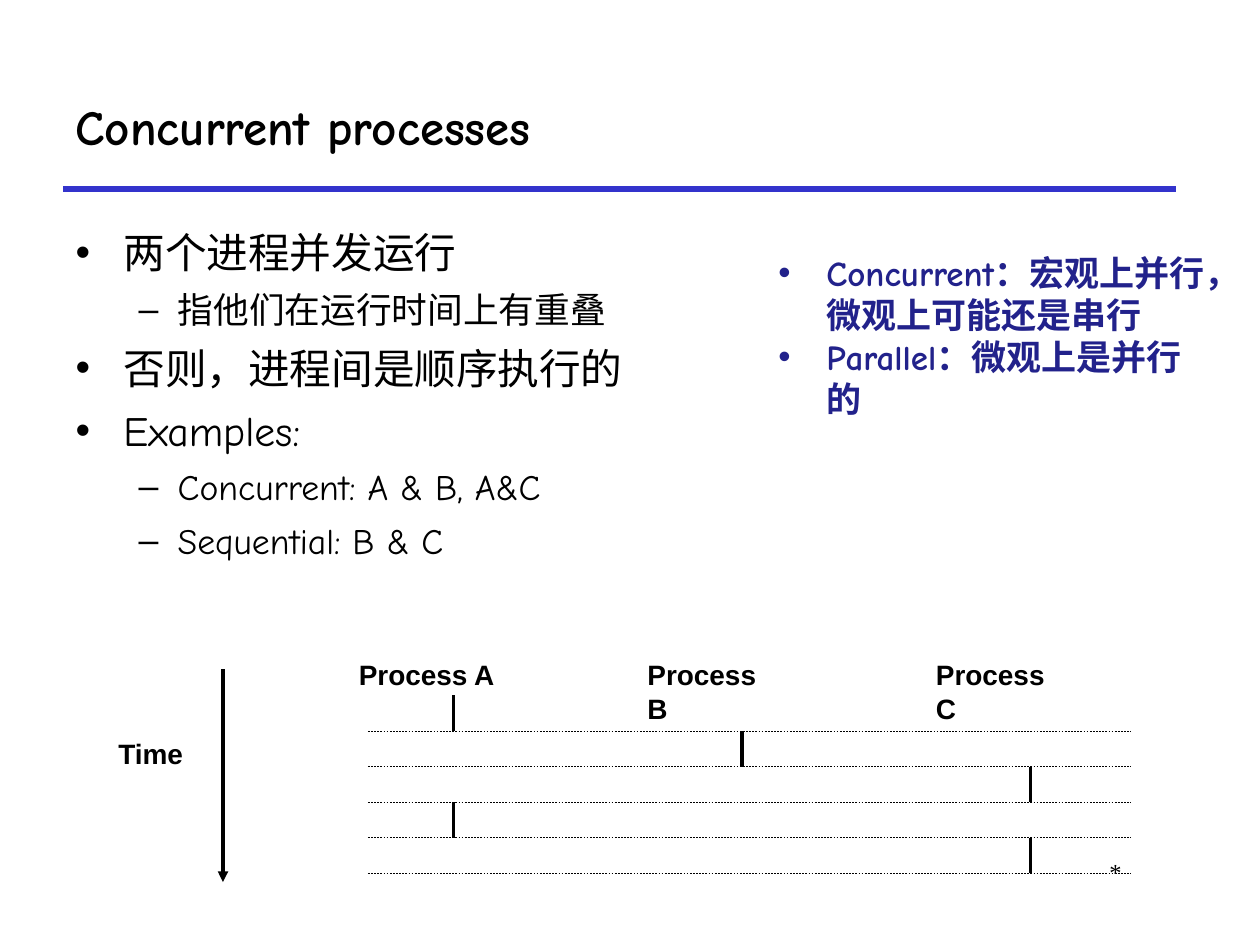
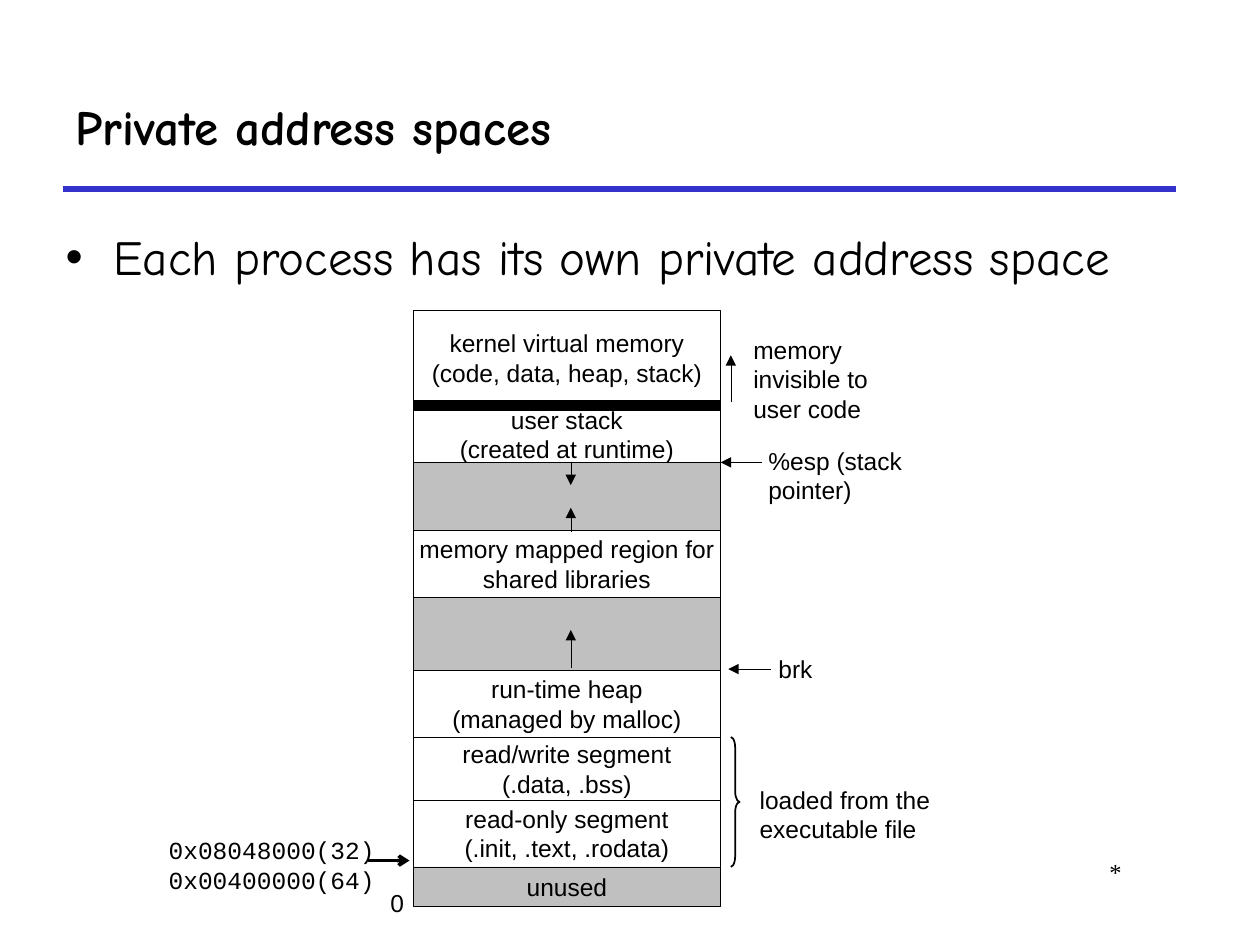
from lxml import etree
from pptx import Presentation
from pptx import util as u
from pptx.dml.color import RGBColor
from pptx.enum import dml, shapes, text
from pptx.oxml import ns

BLACK = RGBColor(0x00, 0x00, 0x00)
WHITE = RGBColor(0xFF, 0xFF, 0xFF)
GREY = RGBColor(0xC0, 0xC0, 0xC0)
RULE_BLUE = RGBColor(0x33, 0x33, 0xCC)
NOTE_BLUE = RGBColor(0x22, 0x22, 0x8B)

HEADING_FONT = "Comic Neue"
LABEL_FONT = "Arial"
CODE_FONT = "Courier New"
BULLETS = {0: ("•", 0.38, -0.38, 7), 1: ("–", 0.81, -0.31, 6)}

STACK_LEFT, STACK_TOP, STACK_WIDTH = 3.28, 2.46, 2.44
STACK = [
    ("kernel virtual memory\n(code, data, heap, stack)", 0.76, WHITE),
    ("user stack\n(created at runtime)", 0.45, WHITE),
    ("", 0.54, GREY),
    ("memory mapped region for\nshared libraries", 0.53, WHITE),
    ("", 0.58, GREY),
    ("run-time heap\n(managed by malloc)", 0.53, WHITE),
    ("read/write segment\n(.data, .bss)", 0.5, WHITE),
    ("read-only segment\n(.init, .text, .rodata)", 0.53, WHITE),
    ("unused", 0.31, GREY),
]


def apply(target, values):
    for name, value in values.items():
        setattr(target, name, value)


def place(s, left, top, width, height):
    box = dict(left=left, top=top, width=width, height=height)
    apply(s, {name: u.Inches(value) for name, value in box.items()})


def add_run(p, content, size, font=LABEL_FONT, color=BLACK, bold=False):
    r = p.add_run()
    r.text = content
    apply(r.font, dict(name=font, size=u.Pt(size), bold=bold))
    r.font.color.rgb = color


def next_paragraph(tf, index):
    return tf.add_paragraph() if index else tf.paragraphs[0]


def write_lines(tf, content, size, align=text.PP_ALIGN.LEFT, **style):
    for i, line in enumerate(content.split("\n")):
        p = next_paragraph(tf, i)
        p.alignment = align
        add_run(p, line, size, **style)


def write_bullets(tf, items, sizes, spaced=True, **style):
    for i, (level, content) in enumerate(items):
        p = next_paragraph(tf, i)
        mark, margin, indent, before = BULLETS[level]
        apply(p, dict(level=level, alignment=text.PP_ALIGN.LEFT,
                      space_before=u.Pt(before if i and spaced else 0)))
        pPr = p._p.get_or_add_pPr()
        pPr.set("marL", str(u.Inches(margin)))
        pPr.set("indent", str(u.Inches(indent)))
        etree.SubElement(pPr, ns.qn("a:buFont"), typeface=LABEL_FONT)
        etree.SubElement(pPr, ns.qn("a:buChar"), char=mark)
        add_run(p, content, sizes[level], font=HEADING_FONT, **style)


def add_label(slide, content, box, size=14, align=text.PP_ALIGN.LEFT, **style):
    s = slide.shapes.add_textbox(*map(u.Inches, box))
    s.text_frame.word_wrap = False
    write_lines(s.text_frame, content, size, align, **style)


def add_line(slide, start, end, width, color=BLACK, dash=None, head=None):
    s = slide.shapes.add_connector(
        shapes.MSO_CONNECTOR.STRAIGHT, *map(u.Inches, start + end))
    s.line.color.rgb = color
    s.line.width = u.Pt(width)
    if dash:
        s.line.dash_style = dash
    if head:
        etree.SubElement(s.line._get_or_add_ln(), ns.qn("a:tailEnd"), type=head)
    etree.SubElement(s._element.spPr, ns.qn("a:effectLst"))


def add_block(slide, content, box, fill):
    s = slide.shapes.add_shape(
        shapes.MSO_SHAPE.RECTANGLE, *map(u.Inches, box))
    s.shadow.inherit = False
    s.fill.solid()
    s.fill.fore_color.rgb = fill
    s.line.color.rgb = BLACK
    s.line.width = u.Pt(0.25)
    if content:
        tf = s.text_frame
        apply(tf, dict(word_wrap=False, vertical_anchor=text.MSO_ANCHOR.MIDDLE))
        write_lines(tf, content, 14, text.PP_ALIGN.CENTER)


def add_brace(slide, box):
    s = slide.shapes.add_shape(
        shapes.MSO_SHAPE.RIGHT_BRACE, *map(u.Inches, box))
    s.shadow.inherit = False
    s.adjustments[0] = 1.2
    s.fill.background()
    s.line.color.rgb = BLACK
    s.line.width = u.Pt(1)


def add_page(prs, title, bullets, box, sizes):
    slide = prs.slides.add_slide(prs.slide_layouts[1])
    add_line(slide, (0.5, 1.5), (9.33, 1.5), 3, RULE_BLUE)
    add_label(slide, "*", (7.58, 6.75, 1.42, 0.5),
              align=text.PP_ALIGN.RIGHT, font="Times New Roman")
    heading, body = slide.placeholders
    place(heading, 0.5, 0.5, 8.83, 1)
    place(body, *box)
    for s in (heading, body):
        apply(s.text_frame, dict(auto_size=text.MSO_AUTO_SIZE.NONE, word_wrap=True))
    heading.text_frame.vertical_anchor = text.MSO_ANCHOR.MIDDLE
    write_lines(heading.text_frame, title, 28, font=HEADING_FONT, bold=True)
    write_bullets(body.text_frame, bullets, sizes)
    return slide


def add_note(slide):
    s = slide.shapes.add_textbox(*map(u.Inches, (6.08, 1.95, 3.67, 1.44)))
    s.text_frame.word_wrap = True
    items = [(0, "Concurrent：宏观上并行，微观上可能还是串行"),
             (0, "Parallel：微观上是并行的")]
    write_bullets(s.text_frame, items, {0: 20}, spaced=False,
                  color=NOTE_BLUE, bold=True)


def add_timeline(slide):
    first, last, slots = 5.52, 6.93, 5
    step = (last - first) / slots
    spacing = 2.29
    add_line(slide, (1.77, 5.31), (1.77, 7), 2, head="triangle")
    add_label(slide, "Time", (0.84, 5.8, 0.71, 0.37), 16, bold=True)
    for column, name in enumerate("ABC"):
        add_label(slide, f"Process {name}",
                  (2.75 + column * spacing, 5.17, 1.28, 0.37), 16, bold=True)
    for slot, column in enumerate((0, 1, 2, 0, 2)):
        x = 3.6 + column * spacing
        top = first + slot * step
        bottom = top + step
        add_line(slide, (x, top), (x, bottom), 2)
        add_line(slide, (2.92, bottom), (8.98, bottom), 0.25,
                 dash=dml.MSO_LINE.DASH)


def add_memory_stack(slide):
    top = STACK_TOP
    for content, height, fill in STACK:
        add_block(slide, content, (STACK_LEFT, top, STACK_WIDTH, height), fill)
        top += height
    right = STACK_LEFT + STACK_WIDTH
    add_line(slide, (STACK_LEFT, 3.22), (right, 3.22), 6)
    arrows = [
        ((4.53, 5.3), (4.53, 5)),
        ((4.53, 4.22), (4.53, 4.03)),
        ((4.53, 3.67), (4.53, 3.85)),
        ((6.05, 3.67), (right, 3.67)),
        ((5.8, 3.19), (5.8, 2.82)),
        ((6.12, 5.31), (5.78, 5.31)),
    ]
    for start, end in arrows:
        add_line(slide, start, end, 0.25, head="triangle")
    add_line(slide, (2.92, 6.83), (3.25, 6.83), 2, head="arrow")
    add_brace(slide, (5.8, 5.85, 0.07, 1.03))


def add_memory_labels(slide):
    labels = [
        ("0", (3, 7, 0.31, 0.34), LABEL_FONT),
        ("%esp (stack pointer)", (6, 3.49, 1.97, 0.34), LABEL_FONT),
        ("memory\ninvisible to\nuser code", (5.88, 2.61, 1.11, 0.8), LABEL_FONT),
        ("brk", (6.08, 5.14, 0.47, 0.34), LABEL_FONT),
        ("loaded from the\nexecutable file", (5.93, 6.18, 1.61, 0.57), LABEL_FONT),
        ("0x08048000(32)", (1.24, 6.58, 1.84, 0.34), CODE_FONT),
        ("0x00400000(64)", (1.24, 6.82, 1.84, 0.34), CODE_FONT),
    ]
    for content, box, font in labels:
        add_label(slide, content, box, font=font)


def main():
    prs = Presentation()
    apply(prs, dict(slide_width=u.Inches(10), slide_height=u.Inches(7.5)))

    processes = add_page(prs, "Concurrent processes", [
        (0, "两个进程并发运行"),
        (1, "指他们在运行时间上有重叠"),
        (0, "否则，进程间是顺序执行的"),
        (0, "Examples:"),
        (1, "Concurrent: A & B, A&C"),
        (1, "Sequential: B & C"),
    ], (0.5, 1.75, 5.25, 2.75), {0: 23.8, 1: 20.4})
    add_timeline(processes)
    add_note(processes)

    spaces = add_page(prs, "Private address spaces", [
        (0, "Each process has its own private address space"),
    ], (0.42, 1.75, 9.25, 0.58), {0: 28})
    add_memory_stack(spaces)
    add_memory_labels(spaces)

    prs.save("out.pptx")


if __name__ == "__main__":
    main()
